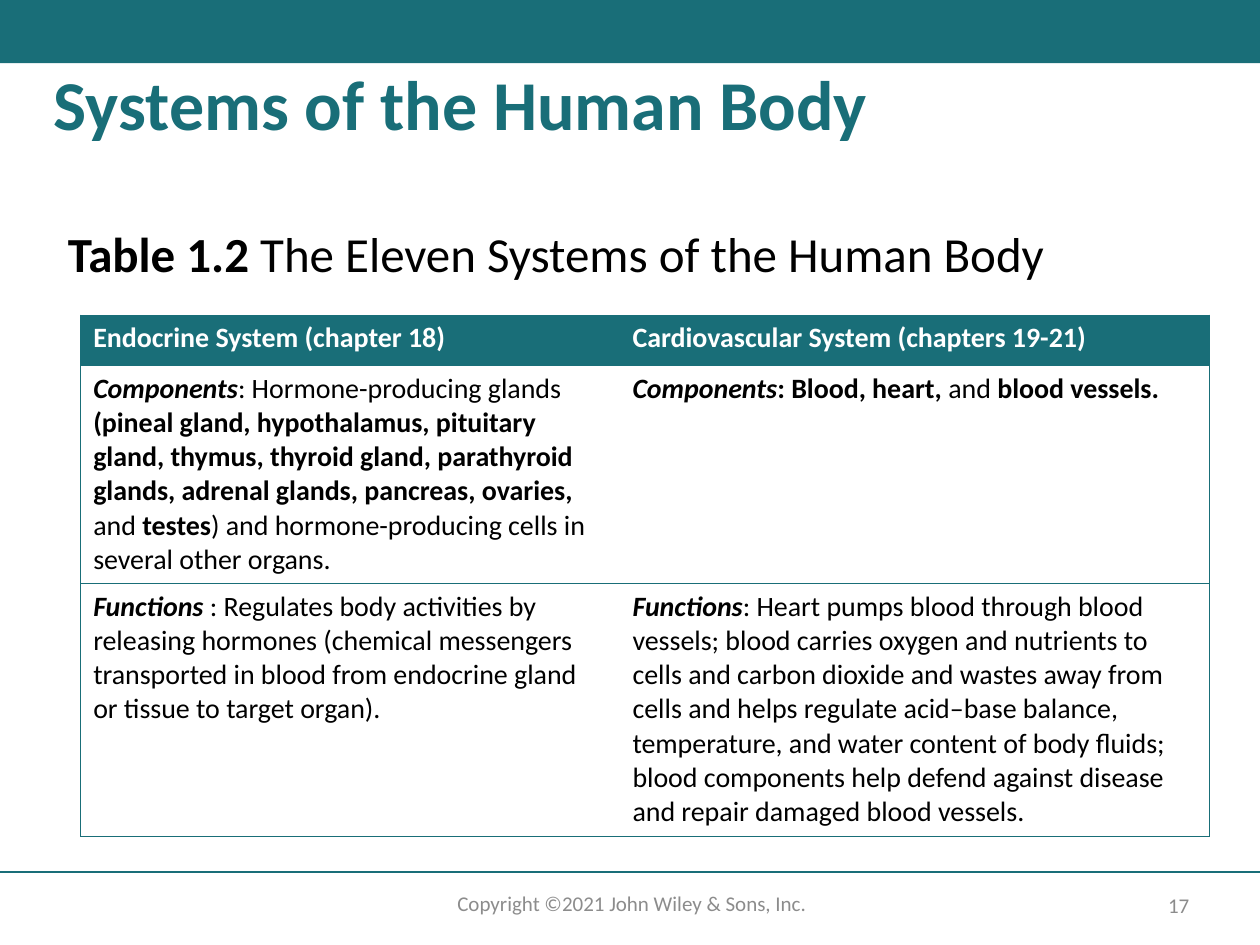
from lxml import etree
from pptx import Presentation
from pptx.dml.color import RGBColor
from pptx.enum.shapes import MSO_CONNECTOR, MSO_SHAPE
from pptx.enum.text import MSO_ANCHOR, PP_ALIGN
from pptx.oxml.ns import qn
from pptx.util import Inches, Pt

TEAL = RGBColor(0x19, 0x6E, 0x78)
GREY = RGBColor(0x8C, 0x8C, 0x8C)
BLACK = RGBColor(0, 0, 0)
WHITE = RGBColor(0xFF, 0xFF, 0xFF)
RECTANGLE = MSO_SHAPE.RECTANGLE
STRAIGHT = MSO_CONNECTOR.STRAIGHT
LEFT, CENTER = PP_ALIGN.LEFT, PP_ALIGN.CENTER
TOP, MIDDLE = MSO_ANCHOR.TOP, MSO_ANCHOR.MIDDLE

SLIDE_WIDTH, SLIDE_HEIGHT = Inches(10), Inches(7.5)
PLAIN = {"bold": False, "italic": False}
BOLD = {"bold": True, "italic": False}
TERM = {"bold": True, "italic": True}
TITLE = {"name": "Calibri", "size": Pt(40), "color": TEAL}
CAPTION = {"name": "Calibri", "size": Pt(28), "color": BLACK}
HEADER = {"name": "Calibri", "size": Pt(16), "color": WHITE}
BODY = {**HEADER, "color": BLACK}
FOOTER = {"name": "Calibri", "size": Pt(12), "color": GREY}

COLUMN_SHARES = (42.8, 46.8)
ROW_SHARES = (5.33, 23.07, 26.8)
SYSTEMS = [
    [
        [("Endocrine System (chapter 18)", BOLD)],
        [("Cardiovascular System (chapters 19-21)", BOLD)],
    ],
    [
        [
            ("Components", TERM),
            (": Hormone-producing glands ", PLAIN),
            ("(pineal gland, hypothalamus, pituitary gland, thymus, thyroid gland, "
             "parathyroid glands, adrenal glands, pancreas, ovaries, ", BOLD),
            ("and ", PLAIN),
            ("testes", BOLD),
            (") and hormone-producing cells in several other organs.", PLAIN),
        ],
        [
            ("Components", TERM),
            (": Blood, heart,", BOLD),
            (" and ", PLAIN),
            ("blood vessels.", BOLD),
        ],
    ],
    [
        [
            ("Functions ", TERM),
            (": Regulates body activities by releasing hormones (chemical messengers "
             "transported in blood from endocrine gland or tissue to target organ).", PLAIN),
        ],
        [
            ("Functions", TERM),
            (": Heart pumps blood through blood vessels; blood carries oxygen and "
             "nutrients to cells and carbon dioxide and wastes away from cells and helps "
             "regulate acid–base balance, temperature, and water content of body fluids; "
             "blood components help defend against disease and repair damaged blood "
             "vessels.", PLAIN),
        ],
    ],
]


def across(percent):
    """Return a percentage of the slide width."""
    return int(SLIDE_WIDTH * percent / 100)


def down(percent):
    """Return a percentage of the slide height."""
    return int(SLIDE_HEIGHT * percent / 100)


def area(left, top, width, height):
    """Return a rectangle given in percentages of the slide."""
    return across(left), down(top), across(width), down(height)


def write_runs(paragraph, runs, text_format):
    """Write runs that share a base format and vary in emphasis."""
    for text, emphasis in runs:
        run = paragraph.add_run()
        run.text = text
        for name, value in {**text_format, **emphasis}.items():
            if name == "color":
                run.font.color.rgb = value
            else:
                setattr(run.font, name, value)


def add_text(slide, bounds, runs, text_format, alignment=LEFT, anchor=TOP, spacing=1.0):
    """Add a wrapped text box with one paragraph."""
    frame = slide.shapes.add_textbox(*area(*bounds)).text_frame
    frame.word_wrap = True
    frame.vertical_anchor = anchor
    paragraph = frame.paragraphs[0]
    paragraph.alignment = alignment
    paragraph.line_spacing = spacing
    write_runs(paragraph, runs, text_format)


def add_banner(slide):
    """Add the coloured band along the top edge."""
    banner = slide.shapes.add_shape(RECTANGLE, *area(0, 0, 100, 6.67))
    banner.shadow.inherit = False
    banner.fill.solid()
    banner.fill.fore_color.rgb = TEAL
    banner.line.fill.background()


def add_footer_rule(slide):
    """Add the full-width line above the footer."""
    height = down(92.27)
    rule = slide.shapes.add_connector(STRAIGHT, 0, height, SLIDE_WIDTH, height)
    rule.line.color.rgb = TEAL
    rule.line.width = Pt(1)
    etree.SubElement(rule._element.spPr, qn("a:effectLst"))


def set_borders(cell, visible_sides):
    """Draw thin borders on the visible sides and clear the others."""
    properties = cell._tc.get_or_add_tcPr()
    for side in "LRTB":
        border = etree.SubElement(properties, qn(f"a:ln{side}"), w=str(Pt(0.5)))
        if side in visible_sides:
            fill = etree.SubElement(border, qn("a:solidFill"))
            etree.SubElement(fill, qn("a:srgbClr"), val=str(TEAL))
        else:
            etree.SubElement(border, qn("a:noFill"))


def add_systems_table(slide):
    """Add the table of body systems with a filled header row."""
    bounds = area(6.4, 33.33, sum(COLUMN_SHARES), sum(ROW_SHARES))
    table = slide.shapes.add_table(len(ROW_SHARES), len(COLUMN_SHARES), *bounds).table
    table.horz_banding = False
    for column, share in zip(table.columns, COLUMN_SHARES):
        column.width = across(share)
    for row_index, (row, share) in enumerate(zip(table.rows, ROW_SHARES)):
        row.height = down(share)
        for cell, runs, outer_side in zip(row.cells, SYSTEMS[row_index], "LR"):
            set_borders(cell, "TB" + outer_side)
            if row_index == 0:
                cell.fill.solid()
                cell.fill.fore_color.rgb = TEAL
            else:
                cell.fill.background()
            text_format = BODY if row_index else HEADER
            write_runs(cell.text_frame.paragraphs[0], runs, text_format)


def main():
    """Build and save the slide."""
    presentation = Presentation()
    presentation.slide_width = SLIDE_WIDTH
    presentation.slide_height = SLIDE_HEIGHT
    slide = presentation.slides.add_slide(presentation.slide_layouts[6])
    add_banner(slide)
    add_footer_rule(slide)
    add_text(slide, (32.2, 93.6, 35.9, 4), [("Copyright ©2021 John Wiley & Sons, Inc.", PLAIN)],
             FOOTER, CENTER)
    add_text(slide, (90.5, 93.87, 6.1, 3.73), [("17", PLAIN)], FOOTER, CENTER, MIDDLE)
    add_text(slide, (3.3, 6.8, 93.3, 12.27), [("Systems of the Human Body", BOLD)],
             TITLE, spacing=0.9)
    caption = [("Table 1.2 ", BOLD), ("The Eleven Systems of the Human Body", PLAIN)]
    add_text(slide, (4.4, 23.73, 83.6, 7.47), caption, CAPTION, spacing=0.9)
    add_systems_table(slide)
    presentation.save("out.pptx")


if __name__ == "__main__":
    main()
